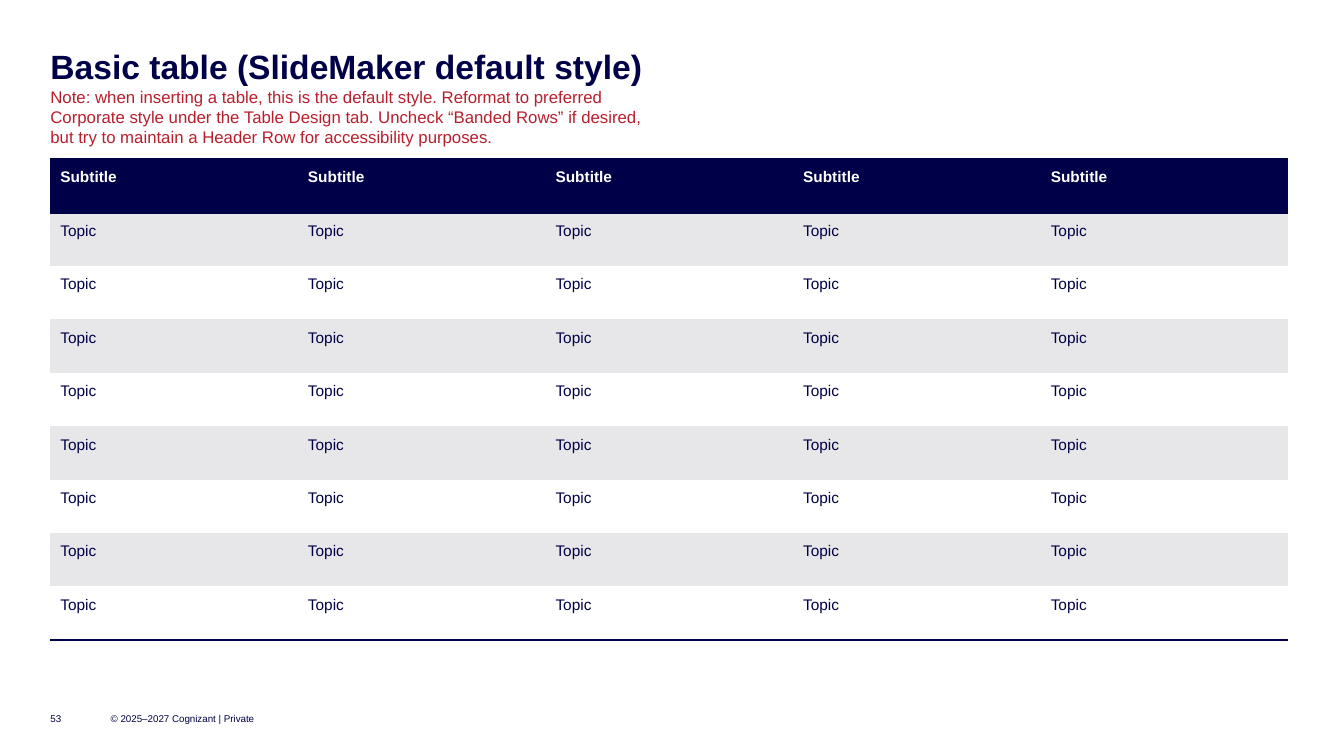
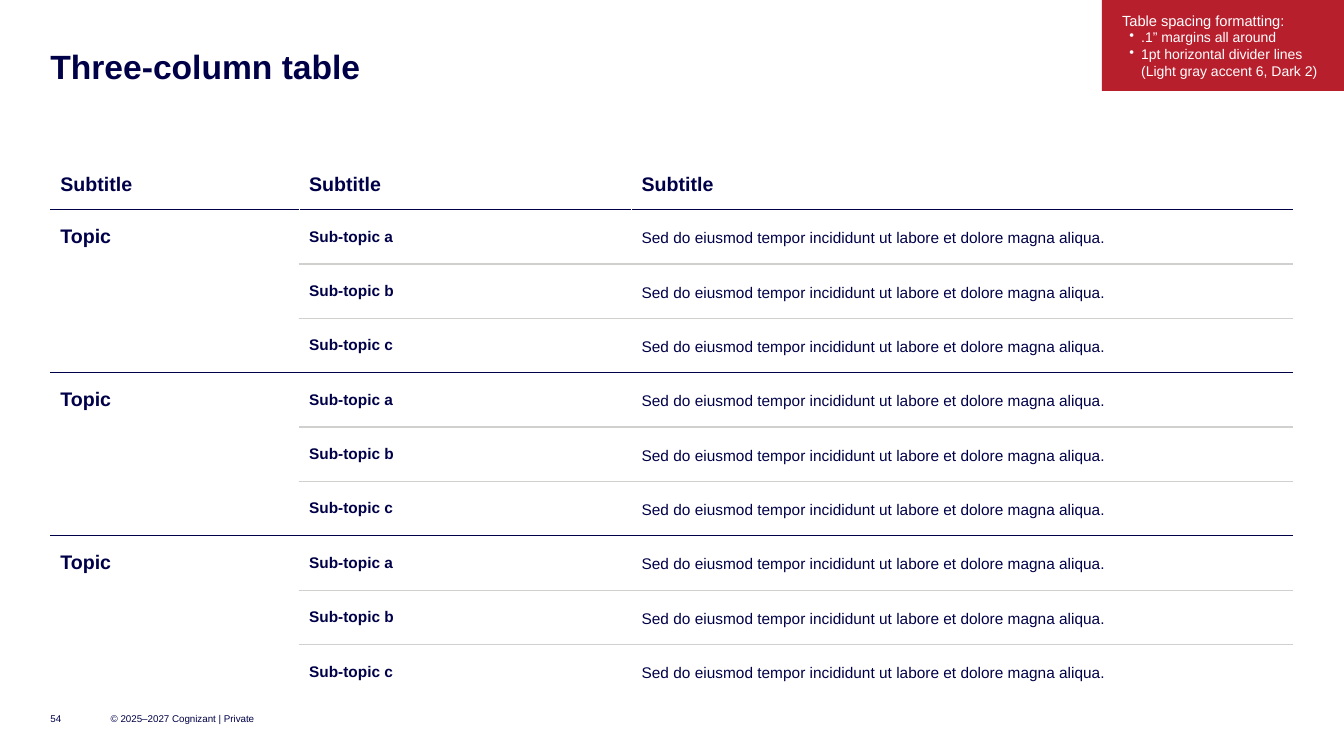
from dataclasses import dataclass

from lxml.etree import SubElement
from pptx import Presentation
from pptx.dml.color import RGBColor as RGB
from pptx.enum.shapes import MSO_SHAPE as Shape
from pptx.enum.text import MSO_ANCHOR as Anchor, MSO_AUTO_SIZE as Auto, PP_ALIGN as Align
from pptx.oxml.ns import qn
from pptx.util import Cm, Pt


@dataclass(frozen=True)
class Theme:
    font: str = "Arial"
    navy: str = "000048"
    red: str = "B81F2D"
    white: str = "FFFFFF"
    band: str = "E7E7E9"
    rule: str = "D0D0CE"
    title: float = 24
    head: float = 14
    note: float = 12
    body: float = 11
    tag: float = 10.5
    item: float = 10
    foot: float = 7


PLAIN = "{2D5ABB26-0587-4C30-8999-92F81FD0307C}"  # table style without fills or grid
WIDE, HIGH, EDGE = 33.87, 19.05, 1.27
SPAN = WIDE - 2 * EDGE
TOP = 4.01
look = Theme()


def write(frame, text, *, size, color=look.navy, bold=False, line=None,
          after=None, bullet=False, more=False):
    """Fill the first paragraph of a frame, or add one more."""
    para = frame.add_paragraph() if more else frame.paragraphs[0]
    para.text = text
    para.alignment = Align.LEFT
    if line:
        para.line_spacing = line
    if after:
        para.space_after = Pt(after)
    if bullet:
        props = para._p.get_or_add_pPr()
        props.set("marL", str(Cm(0.48)))
        props.set("indent", str(Cm(-0.3)))
        SubElement(props, qn("a:buChar"), char="•")
    for run in para.runs:
        font = run.font
        font.name, font.size, font.bold = look.font, Pt(size), bold
        font.color.rgb = RGB.from_string(color)


def inset(box, side, end, anchor):
    """Set the margins and anchor of a text frame or a table cell."""
    box.margin_left = box.margin_right = Cm(side)
    box.margin_top = box.margin_bottom = Cm(end)
    box.vertical_anchor = anchor


def border(cell, width, **sides):
    """Draw cell borders; sides L, R, T and B each take a colour."""
    props = cell._tc.get_or_add_tcPr()
    for side in "LRTB":
        if side in sides:
            line = SubElement(props, qn("a:ln" + side), w=str(Pt(width)))
            fill = SubElement(line, qn("a:solidFill"))
            SubElement(fill, qn("a:srgbClr"), val=sides[side])


def paint(item, color):
    item.fill.solid()
    item.fill.fore_color.rgb = RGB.from_string(color)


class Deck:
    def __init__(self):
        self.show = Presentation()
        self.show.slide_width, self.show.slide_height = Cm(WIDE), Cm(HIGH)
        self.slide = None

    def page(self, title, number):
        """Start a slide with its title and footer."""
        self.slide = self.show.slides.add_slide(self.show.slide_layouts[5])
        head = self.slide.shapes.title
        head.left, head.top, head.width, head.height = map(Cm, (EDGE, EDGE, SPAN, 0.91))
        frame = head.text_frame
        frame.word_wrap, frame.auto_size = True, Auto.NONE
        inset(frame, 0, 0, Anchor.TOP)
        write(frame, title, size=look.title, bold=True, line=0.9)
        self.label(number, EDGE, 17.78, 1.02, 0.64, anchor=Anchor.MIDDLE, size=look.foot)
        self.label("© 2025–2027 Cognizant | Private", 2.79, 17.78, 3.81, 0.64,
                   anchor=Anchor.MIDDLE, size=look.foot)

    def label(self, text, left, top, width, height, anchor=Anchor.TOP, **style):
        box = self.slide.shapes.add_textbox(Cm(left), Cm(top), Cm(width), Cm(height))
        box.text_frame.word_wrap = True
        inset(box.text_frame, 0, 0, anchor)
        write(box.text_frame, text, **style)

    def table(self, cols, rows, anchor):
        """Add an unstyled table with the given column widths and row heights."""
        grid = self.slide.shapes.add_table(
            len(rows), len(cols), Cm(EDGE), Cm(TOP), Cm(sum(cols)), Cm(sum(rows))).table
        grid.horz_banding = False
        grid._tbl.tblPr.find(qn("a:tableStyleId")).text = PLAIN
        for col, width in zip(grid.columns, cols):
            col.width = Cm(width)
        for row, height in zip(grid.rows, rows):
            row.height = Cm(height)
        for cell in grid.iter_cells():
            inset(cell, 0.25, 0.25, anchor)
        return grid

    def tag(self, title, items):
        """Put a red note in the top right corner."""
        width = 6.1
        box = self.slide.shapes.add_shape(
            Shape.RECTANGLE, Cm(WIDE - width), 0, Cm(width), Cm(2.29))
        box.shadow.inherit = False
        paint(box, look.red)
        box.line.fill.background()
        frame = box.text_frame
        frame.word_wrap = True
        inset(frame, 0.51, 0.25, Anchor.MIDDLE)
        write(frame, title, size=look.tag, color=look.white)
        for item in items:
            write(frame, item, size=look.item, color=look.white, bullet=True, more=True)


def basic(deck):
    deck.page("Basic table (SlideMaker default style)", "53")
    deck.label("Note: when inserting a table, this is the default style. Reformat to preferred "
               "Corporate style under the Table Design tab. Uncheck “Banded Rows” if desired, \n"
               "but try to maintain a Header Row for accessibility purposes.",
               EDGE, 2.18, SPAN / 2, 1.55, size=look.note, color=look.red, after=6)
    count = 9
    grid = deck.table([6.24] * 5, [12.12 / count] * count, Anchor.TOP)
    for at, row in enumerate(grid.rows):
        head = at == 0
        for cell in row.cells:
            if head:
                border(cell, 2, T=look.navy, B=look.navy)
            elif at == count - 1:
                border(cell, 2, B=look.navy)
            paint(cell, look.navy if head else look.band if at % 2 else look.white)
            write(cell.text_frame, "Subtitle" if head else "Topic", size=look.body,
                  color=look.white if head else look.navy, bold=head)


def triple(deck):
    deck.page("Three-column table", "54")
    subs, groups = "abc", 3
    count = len(subs) * groups
    grid = deck.table([6.27, 8.38, 16.67], [1.27] + [1.37] * count, Anchor.MIDDLE)
    for cell in grid.rows[0].cells:
        border(cell, 1, B=look.navy)
        paint(cell, look.white)
        write(cell.text_frame, "Subtitle", size=look.head, bold=True)
    for at in range(count):
        sub = at % len(subs)
        first, last = sub == 0, sub == len(subs) - 1
        cells = grid.rows[at + 1].cells
        for col, cell in enumerate(cells):
            inner = look.rule if col else look.white
            sides = {"T": look.navy if first else inner}
            if at < count - 1:
                sides["B"] = look.navy if last else inner
            if col > 0:
                sides["L"] = look.white
            if col < 2:
                sides["R"] = look.white
            border(cell, 1, **sides)
            paint(cell, look.white)
        topic, name, text = (cell.text_frame for cell in cells)
        if first:
            write(topic, "Topic", size=look.head, bold=True)
        write(name, f"Sub-topic {subs[sub]}", size=look.body, bold=True)
        write(text, "Sed do eiusmod tempor incididunt ut labore et dolore magna aliqua.",
              size=look.body, line=1.2)
    deck.tag("Table spacing formatting:",
             [".1” margins all around",
              "1pt horizontal divider lines (Light gray accent 6, Dark 2)"])


def main():
    deck = Deck()
    basic(deck)
    triple(deck)
    deck.show.save("out.pptx")


if __name__ == "__main__":
    main()
